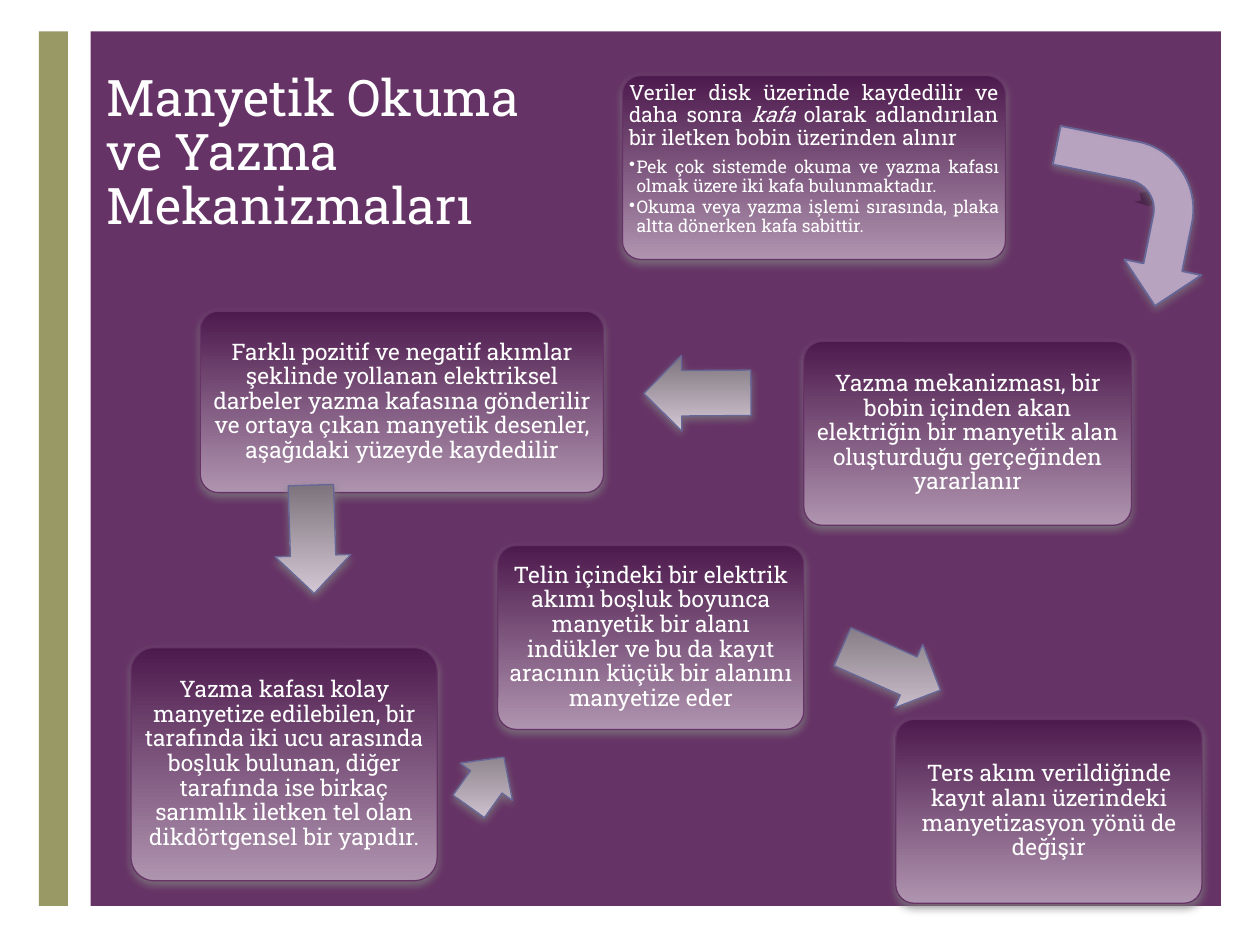
import pptx
import pptx.util
import pptx.dml.color
import pptx.enum.shapes
import pptx.enum.text
import pptx.oxml
import pptx.oxml.ns

RGB = pptx.dml.color.RGBColor
PURPLE = RGB(0x66, 0x33, 0x66)
OLIVE = RGB(0x99, 0x99, 0x66)
WHITE = RGB(0xFF, 0xFF, 0xFF)
DARK = RGB(0x4D, 0x26, 0x4D)
BOX_TOP = RGB(0x4D, 0x1A, 0x4D)
BOX_BOTTOM = RGB(0xAF, 0x94, 0xAF)
ARROW_TOP = RGB(0x7D, 0x73, 0x7D)
ARROW_BOTTOM = RGB(0xD4, 0xC8, 0xD4)
ARROW_LINE = RGB(0x66, 0x66, 0x99)
LILAC = RGB(0xC3, 0xAF, 0xCC)
SILVER = RGB(0xBF, 0xBF, 0xBF)
SHADOW = RGB(0x80, 0x80, 0x80)

FONT = "Roboto Slab"
SHAPE = pptx.enum.shapes.MSO_SHAPE
ALIGN = pptx.enum.text.PP_ALIGN
ANCHOR = pptx.enum.text.MSO_ANCHOR
Pt = pptx.util.Pt

# The slide is a grid of 100 columns by 75 rows
WIDTH, HEIGHT = pptx.util.Inches(10), pptx.util.Inches(7.5)
COLS, ROWS = 100, 75

# Column, row, columns wide, rows high, text
STEPS = [
    (63.8, 27.1, 26, 14.6, "Yazma mekanizması, bir bobin içinden akan elektriğin "
     "bir manyetik alan oluşturduğu gerçeğinden yararlanır"),
    (15.9, 24.7, 32, 14.4, "Farklı pozitif ve negatif akımlar şeklinde yollanan "
     "elektriksel darbeler yazma kafasına gönderilir ve ortaya çıkan manyetik "
     "desenler, aşağıdaki yüzeyde kaydedilir"),
    (10.4, 51.4, 24.3, 18.5, "Yazma kafası kolay manyetize edilebilen, bir tarafında "
     "iki ucu arasında boşluk bulunan, diğer tarafında ise birkaç sarımlık "
     "iletken tel olan dikdörtgensel bir yapıdır."),
    (39.5, 43.3, 24.3, 14.6, "Telin içindeki bir elektrik akımı boşluk boyunca "
     "manyetik bir alanı indükler ve bu da kayıt aracının küçük bir alanını "
     "manyetize eder"),
    (71.1, 57.1, 24.3, 14.6, "Ters akım verildiğinde kayıt alanı üzerindeki "
     "manyetizasyon yönü de değişir"),
]
# Column, row, columns wide, rows high, rotation
ARROWS = [
    (51.1, 28.2, 8.5, 6, 179.6),
    (20.5, 39.8, 8.6, 6, 88.2),
    (36.2, 59.5, 4.8, 5.1, 305.5),
    (66.5, 50.3, 8.5, 5.5, 23.9),
]
INTRO = [("Veriler disk üzerinde kaydedilir ve daha sonra ", False), ("kafa ", True),
         ("olarak adlandırılan bir iletken bobin üzerinden alınır", False)]
BULLETS = [
    "Pek çok sistemde okuma ve yazma kafası olmak üzere iki kafa bulunmaktadır.",
    "Okuma veya yazma işlemi sırasında, plaka altta dönerken kafa sabittir.",
]


def place(col, row, cols, rows):
    return (int(WIDTH * col / COLS), int(HEIGHT * row / ROWS),
            int(WIDTH * cols / COLS), int(HEIGHT * rows / ROWS))


def add_xml(parent, xml):
    """Append an element; its namespace goes in front of the first attribute."""
    root = xml.replace(" ", " " + pptx.oxml.ns.nsdecls("a") + " ", 1)
    el = pptx.oxml.parse_xml(root)
    parent.append(el)
    return el


def add_block(s, kind, cell, color, rotation=0):
    sp = s.shapes.add_shape(kind, *place(*cell))
    sp.rotation = rotation
    sp.shadow.inherit = False
    sp.fill.solid()
    sp.fill.fore_color.rgb = color
    sp.line.fill.background()
    return sp


def add_glossy(s, kind, cell, stops, direction, line, width, rotation=0):
    """Shape with gradient, outline and soft shadow; stops are (%, colour, alpha %)."""
    sp = add_block(s, kind, cell, line, rotation)
    sp.line.color.rgb = line
    sp.line.width = Pt(width)
    gs = "".join(f'<a:gs pos="{pos * 1000}"><a:srgbClr val="{color}">'
                 f'<a:alpha val="{alpha * 1000}"/></a:srgbClr></a:gs>'
                 for pos, color, alpha in stops)
    props = sp._element.spPr
    grad = add_xml(props, f'<a:gradFill rotWithShape="0"><a:gsLst>{gs}</a:gsLst>'
                          f'{direction}</a:gradFill>')
    props.replace(props.find(pptx.oxml.ns.qn("a:solidFill")), grad)
    effects = props.find(pptx.oxml.ns.qn("a:effectLst"))
    add_xml(effects, f'<a:outerShdw blurRad="{Pt(5)}" dist="{Pt(2)}" dir="5400000" '
                     f'rotWithShape="0"><a:srgbClr val="{SHADOW}">'
                     '<a:alpha val="75000"/></a:srgbClr></a:outerShdw>')
    return sp


def add_vertical(s, kind, cell, top, bottom, line, rotation=0):
    return add_glossy(s, kind, cell, [(0, top, 100), (100, bottom, 100)],
                      '<a:lin ang="5400000" scaled="0"/>', line, 0.75, rotation)


def add_box(s, cell, anchor):
    sp = add_vertical(s, SHAPE.ROUNDED_RECTANGLE, cell, BOX_TOP, BOX_BOTTOM, PURPLE)
    sp.adjustments[0] = 0.1
    tf = sp.text_frame
    tf.word_wrap = True
    tf.vertical_anchor = anchor
    # The rounded corners already push the text inwards
    tf.margin_left = tf.margin_right = pptx.util.Inches(0.01)
    tf.margin_top = tf.margin_bottom = pptx.util.Inches(0.01)
    return tf


def add_arrow(s, cell, rotation):
    sp = add_vertical(s, SHAPE.RIGHT_ARROW, cell, ARROW_TOP, ARROW_BOTTOM,
                      ARROW_LINE, rotation)
    sp.adjustments[0] = 0.6


def fill_paragraph(p, runs, size, align, after=0):
    p.alignment = align
    p.line_spacing = 0.9
    p.space_after = Pt(after)
    for text, italic in runs:
        r = p.add_run()
        r.text = text
        r.font.name = FONT
        r.font.size = Pt(size)
        r.font.italic = italic
        r.font.color.rgb = WHITE


def add_bullet(tf, text):
    p = tf.add_paragraph()
    pPr = p._p.get_or_add_pPr()
    indent = pptx.util.Inches(0.06)
    pPr.set("marL", str(indent))
    pPr.set("indent", str(-indent))
    add_xml(pPr, '<a:buChar char="•"/>')
    p.level = 1
    fill_paragraph(p, [(text, False)], 10, ALIGN.JUSTIFY, 1.5)


def add_title(s, text):
    tf = s.shapes.add_textbox(*place(7.5, 6, 35.4, 13.2)).text_frame
    tf.word_wrap = True
    tf.vertical_anchor = ANCHOR.BOTTOM
    fill_paragraph(tf.paragraphs[0], [(text, False)], 28.8, ALIGN.LEFT)


def main():
    prs = pptx.Presentation()
    prs.slide_width, prs.slide_height = WIDTH, HEIGHT
    s = prs.slides.add_slide(prs.slide_layouts[6])

    # Background panel, side bar and title
    add_block(s, SHAPE.RECTANGLE, (7.2, 2.5, 89.7, 69.4), PURPLE)
    add_block(s, SHAPE.RECTANGLE, (3.1, 2.5, 2.3, 69.4), OLIVE)
    add_title(s, "Manyetik Okuma ve Yazma Mekanizmaları")

    # Opening box with bullets
    tf = add_box(s, (49.4, 6, 30.4, 14.6), ANCHOR.TOP)
    fill_paragraph(tf.paragraphs[0], INTRO, 12, ALIGN.JUSTIFY, 4.5)
    for text in BULLETS:
        add_bullet(tf, text)

    # Steps and the arrows between them
    for *cell, text in STEPS:
        tf = add_box(s, cell, ANCHOR.MIDDLE)
        fill_paragraph(tf.paragraphs[0], [(text, False)], 13, ALIGN.CENTER)
    for *cell, rotation in ARROWS:
        add_arrow(s, cell, rotation)

    # Bent arrow over a small dark one
    add_block(s, SHAPE.RIGHT_ARROW, (90.5, 14.7, 1.2, 2.2), DARK, 78.7)
    add_glossy(s, SHAPE.BENT_ARROW, (83.2, 10.8, 12.5, 13.3),
               [(82, LILAC, 86), (92, SILVER, 86), (99, WHITE, 100)],
               '<a:path path="circle"><a:fillToRect l="50000" t="50000" '
               'r="50000" b="50000"/></a:path>', ARROW_LINE, 1, 101.5)

    prs.save("out.pptx")


if __name__ == "__main__":
    main()
